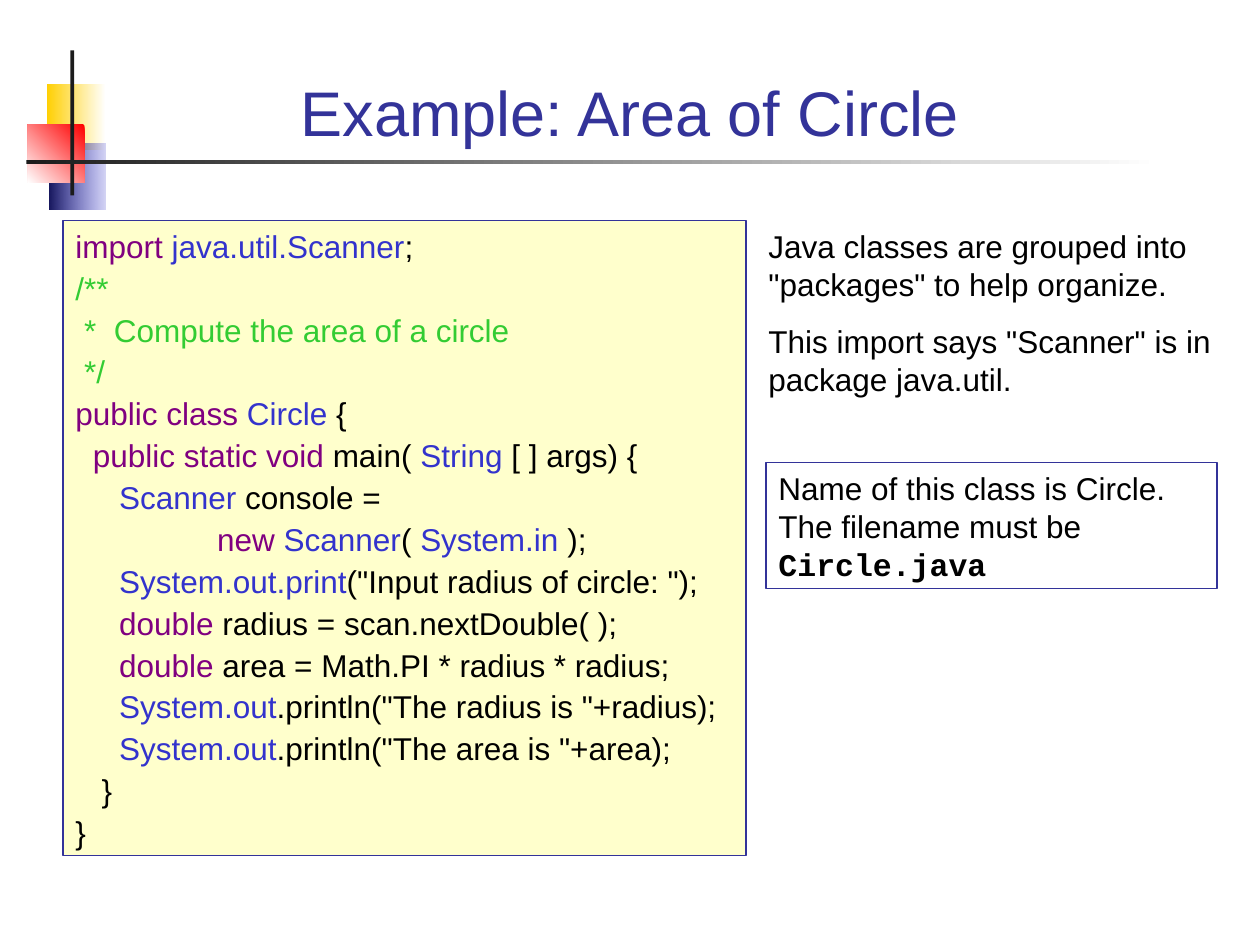
from lxml.etree import SubElement
from pptx import Presentation
from pptx.dml.color import RGBColor
from pptx.enum.shapes import MSO_SHAPE as Preset
from pptx.enum.text import MSO_ANCHOR as Anchor, PP_ALIGN as Align
from pptx.oxml.ns import qn
from pptx.util import Inches, Pt

NAVY, INK, BLACK = "333399", "1C1C1C", "000000"
KEYWORD, TYPE, COMMENT = "800080", "3333CC", "33CC33"

presentation = Presentation()
presentation.slide_width, presentation.slide_height = Inches(10), Inches(7.5)
slide = presentation.slides.add_slide(presentation.slide_layouts[6])


def add_box(area, fill=None, line=None):
    """Add a rectangle, filled with one colour, a gradient pair or nothing."""
    shape = slide.shapes.add_shape(Preset.RECTANGLE, *map(Inches, area))
    shape.shadow.inherit = False
    if fill is None:
        shape.fill.background()
    elif isinstance(fill, str):
        shape.fill.solid()
        shape.fill.fore_color.rgb = RGBColor.from_string(fill)
    else:
        shape.fill.gradient()
        for stop, color in zip(shape.fill.gradient_stops, fill):
            stop.color.rgb = RGBColor.from_string(color)
    if line:
        shape.line.color.rgb = RGBColor.from_string(line)
        shape.line.width = Pt(0.75)
    else:
        shape.line.fill.background()
    return shape


def write(shape, paragraphs, size=18, align=Align.LEFT, anchor=Anchor.TOP, gap=0, leading=None):
    """Fill a shape with paragraphs, each a list of (text, colour, font format)."""
    frame = shape.text_frame
    frame.word_wrap = True
    frame.vertical_anchor = anchor
    for number, runs in enumerate(paragraphs):
        paragraph = frame.add_paragraph() if number else frame.paragraphs[0]
        paragraph.alignment = align
        paragraph.space_before = Pt(gap if number else 0)
        if leading:
            paragraph.line_spacing = Pt(leading)
        for text, color, *extra in runs:
            run = paragraph.add_run()
            run.text = text
            run.font.color.rgb = RGBColor.from_string(color)
            font_format = {"name": "Arial", "size": Pt(size)}
            for values in extra:
                font_format.update(values)
            for name, value in font_format.items():
                setattr(run.font, name, value)


# Corner ornament: three fading squares and two crossing bars
add_box((0.37, 0.67, 0.47, 0.52), ("FFCF01", "FFFFFF")).fill.gradient_angle = 0
blue_square = add_box((0.39, 1.14, 0.45, 0.52), ("17175E", TYPE))
blue_square.fill.gradient_angle = 0
pale_end = list(blue_square.element.iter(qn("a:srgbClr")))[1]
SubElement(pale_end, qn("a:alpha"), val="20000")
add_box((0.22, 0.99, 0.45, 0.46), ("FF0000", "FFFFFF")).fill.gradient_angle = 225
add_box((0.56, 0.4, 0.03, 1.15), INK)
add_box((0.21, 1.27, 8.99, 0.03), (INK, "FFFFFF")).fill.gradient_angle = 0

# Code panel
code = [
    [("import ", KEYWORD), ("java.util.Scanner", TYPE), (";", BLACK)],
    [("/**", COMMENT)],
    [(" *  Compute the area of a circle", COMMENT)],
    [(" */", COMMENT)],
    [("public class ", KEYWORD), ("Circle", TYPE), (" {", BLACK)],
    [("  public static void", KEYWORD), (" main( ", BLACK), ("String", TYPE), (" [ ] args) {", BLACK)],
    [("     Scanner", TYPE), (" console =", BLACK)],
    [("\t         ", BLACK), ("new ", KEYWORD), ("Scanner", TYPE), ("( ", BLACK),
     ("System.in", TYPE), (" );", BLACK)],
    [("     System.out.print", TYPE), ('("Input radius of circle: ");', BLACK)],
    [("     double", KEYWORD), (" radius = scan.nextDouble( );", BLACK)],
    [("     double", KEYWORD), (" area = Math.PI * radius * radius;", BLACK)],
    [("     System.out", TYPE), ('.println("The radius is "+radius);', BLACK)],
    [("     System.out", TYPE), ('.println("The area is "+area);', BLACK)],
    [("   }", BLACK)],
    [("}", BLACK)],
]
write(add_box((0.5, 1.75, 5.42, 5.04), "FFFFCC", NAVY), code, gap=2.2, leading=21.7)

# Title
title = slide.shapes.add_textbox(*map(Inches, (0.67, 0.28, 8.66, 0.95)))
write(title, [[("Example: Area of Circle", NAVY)]], size=36, align=Align.CENTER, anchor=Anchor.BOTTOM)

# Notes on packages
notes = slide.shapes.add_textbox(*map(Inches, (6, 1.75, 3.73, 1.46)))
write(notes, [
    [('Java classes are grouped into "packages" to help organize.', BLACK)],
    [('This import says "Scanner" is in package java.util.', BLACK)],
], gap=11.2, leading=21.7)

# Framed note on the file name
write(add_box((6.08, 3.67, 3.58, 1), line=NAVY), [[
    ("Name of this class is Circle. The filename must be ", BLACK),
    ("Circle.java", BLACK, {"name": "Courier New", "bold": True}),
]], leading=21.7)

presentation.save("out.pptx")
